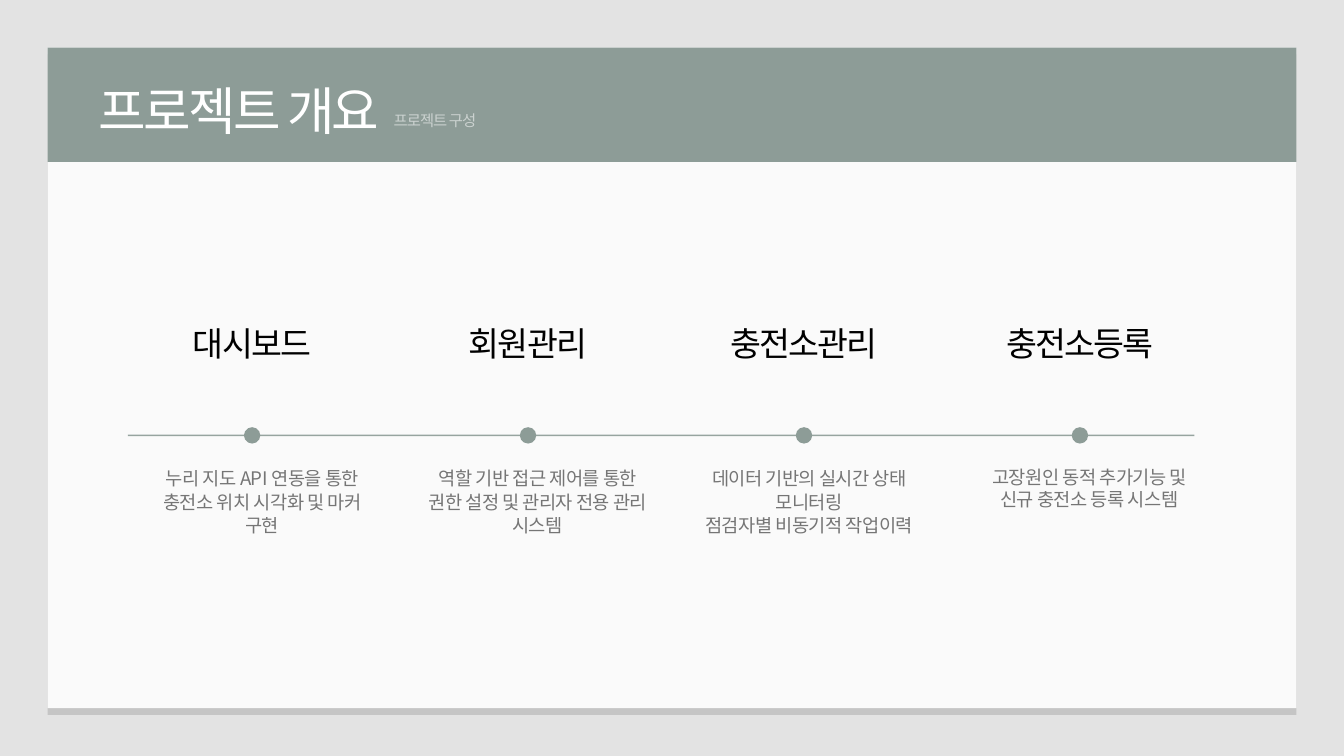
"""Build the project overview slide with four stages on a timeline."""
from dataclasses import dataclass
from typing import Optional

import pptx
import pptx.dml.color
import pptx.enum.shapes
import pptx.enum.text
import pptx.util
from lxml import etree
from pptx.dml.color import RGBColor
from pptx.oxml.ns import qn
from pptx.util import Cm, Pt

FONT = "Noto Sans CJK KR"
BACK = RGBColor(0xE3, 0xE3, 0xE3)
EDGE = RGBColor(0xC5, 0xC5, 0xC5)
PAPER = RGBColor(0xFA, 0xFA, 0xFA)
SAGE = RGBColor(0x8D, 0x9C, 0x97)
WHITE = RGBColor(0xFF, 0xFF, 0xFF)
BLACK = RGBColor(0, 0, 0)
LEFT = pptx.enum.text.PP_ALIGN.LEFT
CENTER = pptx.enum.text.PP_ALIGN.CENTER
RECT = pptx.enum.shapes.MSO_SHAPE.RECTANGLE
OVAL = pptx.enum.shapes.MSO_SHAPE.OVAL


@dataclass
class Box:
    left: float
    top: float
    width: float
    height: float

    def place(self) -> tuple:
        return Cm(self.left), Cm(self.top), Cm(self.width), Cm(self.height)


@dataclass
class Style:
    size: float
    color: RGBColor
    track: int
    lead: Optional[float] = None
    align: pptx.enum.text.PP_ALIGN = CENTER
    alpha: int = 100


@dataclass
class Stage:
    head: str
    lines: list[str]
    left: float
    style: Style
    width: float = 8.43


TITLE = Style(55.4, WHITE, -280, 77.6, LEFT)
SUB = Style(16.5, WHITE, -100, 19.8, LEFT, 54)
HEAD = Style(36, BLACK, -180, 40)
NOTE = Style(20, BLACK, -60, 25.4, alpha=53)
LOOSE = Style(20, BLACK, -60, alpha=53)

STAGES = [
    Stage("대시보드", ["누리 지도 API 연동을 통한 충전소 위치 시각화 및 마커 구현"], 5.69, NOTE),
    Stage("회원관리", ["역할 기반 접근 제어를 통한 권한 설정 및 관리자 전용 관리 시스템"], 16.1, NOTE),
    Stage("충전소관리", ["데이터 기반의 실시간 상태 모니터링", "점검자별 비동기적 작업이력"],
          25.6, NOTE, 9.96),
    Stage("충전소등록", ["고장원인 동적 추가기능 및 신규 충전소 등록 시스템"], 36.96, LOOSE),
]
FIRST, STEP, AXIS = 9.53, 10.43, 16.46
DOT, WIDE = 0.62, 11.94


def fade(node, alpha: int) -> None:
    for color in node.iter(qn("a:srgbClr")):
        etree.SubElement(color, qn("a:alpha"), val=str(alpha * 1000))


def write(shape, lines: list[str], style: Style) -> None:
    frame = shape.text_frame
    frame.word_wrap = True
    frame.auto_size = pptx.enum.text.MSO_AUTO_SIZE.SHAPE_TO_FIT_TEXT
    frame.vertical_anchor = pptx.enum.text.MSO_ANCHOR.TOP
    frame.margin_left = frame.margin_right = 0
    frame.margin_top = frame.margin_bottom = 0
    for i, line in enumerate(lines):
        para = frame.add_paragraph() if i else frame.paragraphs[0]
        para.alignment = style.align
        if style.lead:
            para.line_spacing = Pt(style.lead)
        run = para.add_run()
        run.text = line
        run.font.size = Pt(style.size)
        run.font.name = FONT
        run.font.color.rgb = style.color
        props = run.font._element
        props.set("spc", str(style.track))
        etree.SubElement(props, qn("a:ea"), typeface=FONT)
        if style.alpha < 100:
            fade(props, style.alpha)


def label(slide, box: Box, lines: list[str], style: Style) -> None:
    write(slide.shapes.add_textbox(*box.place()), lines, style)


def block(slide, kind, box: Box, color: RGBColor) -> None:
    shape = slide.shapes.add_shape(kind, *box.place())
    shape.shadow.inherit = False
    shape.fill.solid()
    shape.fill.fore_color.rgb = color
    shape.line.fill.background()


def rule(slide, start: float, end: float) -> None:
    line = slide.shapes.add_connector(
        pptx.enum.shapes.MSO_CONNECTOR.STRAIGHT, Cm(start), Cm(AXIS), Cm(end), Cm(AXIS))
    line.line.color.rgb = SAGE
    line.line.width = Pt(1.5)
    props = line._element.spPr
    fade(props, 91)
    etree.SubElement(props, qn("a:effectLst"))


def header(slide, box: Box, text: str) -> None:
    title = slide.shapes.title
    title.left, title.top, title.width, title.height = box.place()
    write(title, [text], TITLE)
    slide.shapes._spTree.append(title._element)


def main() -> None:
    deck = pptx.Presentation()
    deck.slide_width, deck.slide_height = Cm(50.8), Cm(28.58)
    slide = deck.slides.add_slide(deck.slide_layouts[5])
    slide.background.fill.solid()
    slide.background.fill.fore_color.rgb = BACK

    block(slide, RECT, Box(1.8, 2.06, 47.2, 24.97), EDGE)
    block(slide, RECT, Box(1.8, 1.8, 47.2, 24.97), PAPER)
    block(slide, RECT, Box(1.8, 1.8, 47.2, 4.32), SAGE)
    header(slide, Box(3.71, 2.57, 14.15, 2.64), "프로젝트 개요")
    label(slide, Box(14.88, 4.19, 12.62, 0.69), ["프로젝트 구성"], SUB)

    rule(slide, 4.83, 45.14)
    for i, stage in enumerate(STAGES):
        mid = FIRST + i * STEP
        block(slide, OVAL, Box(mid - DOT / 2, AXIS - DOT / 2, DOT, DOT), SAGE)
        label(slide, Box(mid - WIDE / 2, 12.32, WIDE, 1.42), [stage.head], HEAD)
        label(slide, Box(stage.left, 17.6, stage.width, 1.73), stage.lines, stage.style)
    deck.save("out.pptx")


if __name__ == "__main__":
    main()
